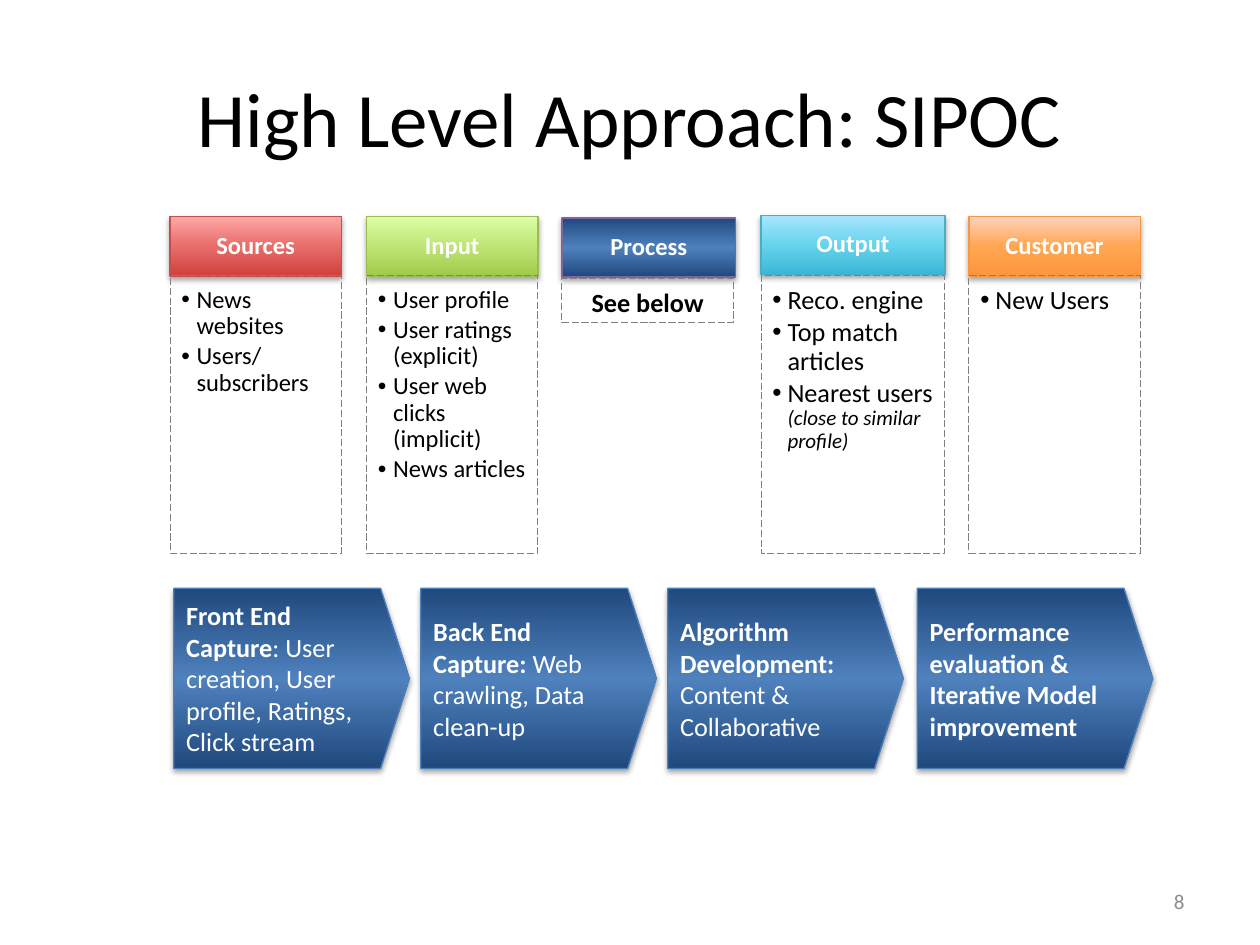
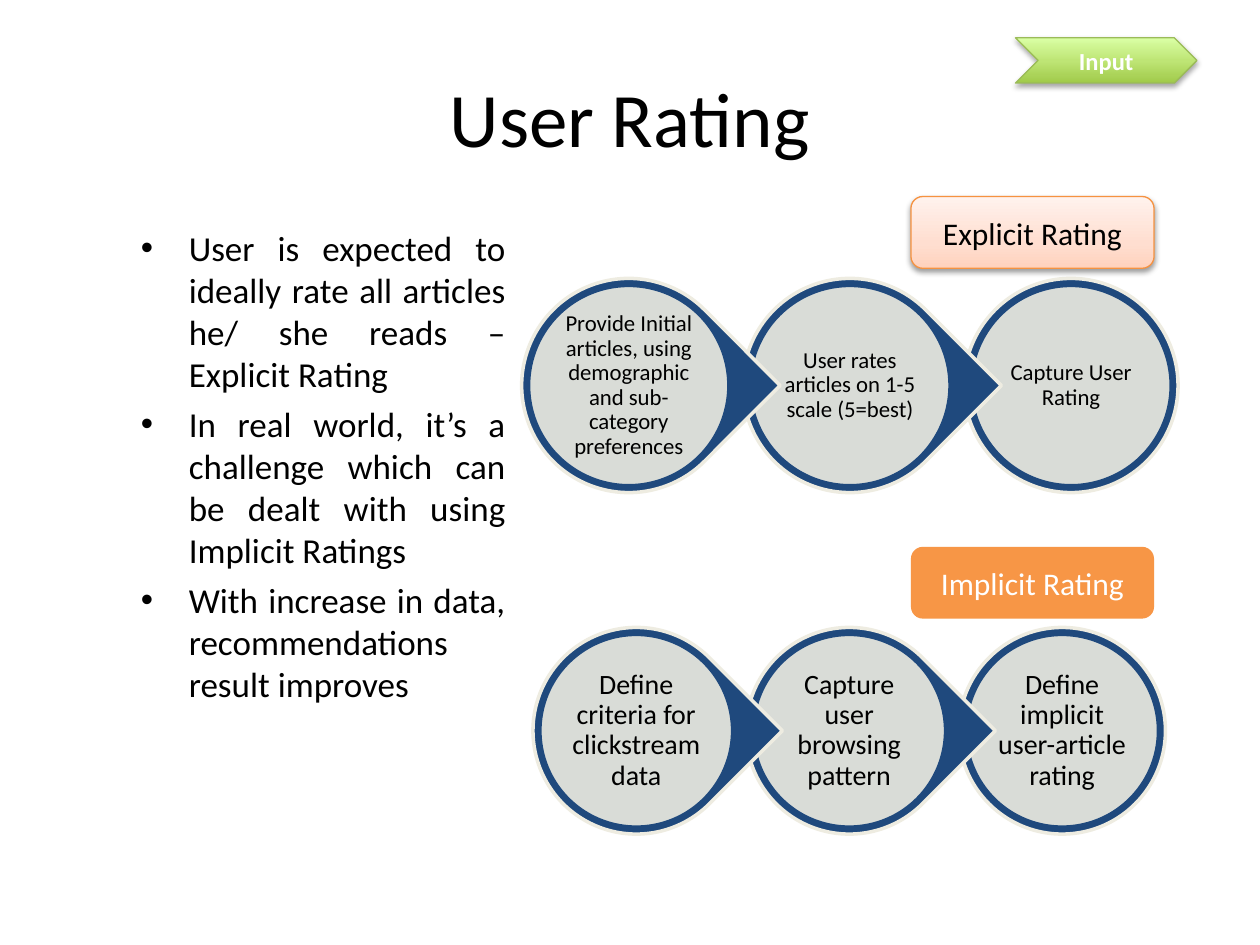
from dataclasses import dataclass

from lxml.etree import SubElement
from pptx import Presentation
from pptx.dml.color import RGBColor
from pptx.enum.dml import MSO_LINE
from pptx.enum.shapes import MSO_SHAPE as SHAPE
from pptx.enum.text import MSO_ANCHOR as ANCHOR, PP_ALIGN as ALIGN
from pptx.oxml.ns import qn
from pptx.util import Inches, Pt


@dataclass(frozen=True)
class Theme:
    font: str = "Calibri"
    black: str = "000000"
    white: str = "FFFFFF"
    navy: str = "1F497D"
    cream: str = "EEECE1"
    orange: str = "F79646"
    peach_line: str = "F69240"
    step_line: str = "4B7EBC"
    box_line: str = "808080"
    number_gray: str = "8C8C8C"
    # Gradients run from the bottom edge to the top edge.
    red_fade: tuple = ((0, "D1403C"), (50, "E86D6B"), (100, "FFA6A5"))
    green_fade: tuple = ((0, "A0CA4A"), (50, "BEE575"), (100, "DAFFA5"))
    blue_fade: tuple = ((0, "1F497D"), (50, "4F81BD"), (100, "1F497D"))
    cyan_fade: tuple = ((0, "39B7D8"), (50, "67D3EC"), (100, "A7E6FF"))
    orange_fade: tuple = ((0, "FF953E"), (50, "FFA651"), (100, "FFD2BD"))
    peach_fade: tuple = ((0, "FFD2BD"), (35, "FFDED0"), (100, "FFF2ED"))
    title_size: int = 44
    body_size: int = 20
    label_size: int = 18
    step_size: int = 15
    header_size: int = 14
    small_size: int = 12


theme = Theme()


def add_shape(slide, kind, box, fill=None, line=None, width=0.75, shadow=0, alpha=100):
    """Add a shape; fill is a colour or gradient stops, shadow and alpha are percentages."""
    shape = slide.shapes.add_shape(kind, *map(Inches, box))
    properties = shape._element.spPr
    if fill is None:
        shape.fill.background()
    elif isinstance(fill, str):
        shape.fill.solid()
        shape.fill.fore_color.rgb = RGBColor.from_string(fill)
        if alpha < 100:
            color = properties.find(qn("a:solidFill"))[0]
            SubElement(color, qn("a:alpha"), val=str(alpha * 1000))
    else:
        shape.fill.gradient()
        shape.fill.gradient_angle = 90
        stops = properties.find(qn("a:gradFill")).find(qn("a:gsLst"))
        for stop in list(stops):
            stops.remove(stop)
        for position, color in fill:
            stop = SubElement(stops, qn("a:gs"), pos=str(position * 1000))
            SubElement(stop, qn("a:srgbClr"), val=color)
    if line:
        shape.line.color.rgb = RGBColor.from_string(line)
        shape.line.width = Pt(width)
    else:
        shape.line.fill.background()
    shape.shadow.inherit = False
    if shadow:
        outer = SubElement(properties.find(qn("a:effectLst")), qn("a:outerShdw"),
                           blurRad="40000", dist="23000", dir="5400000", rotWithShape="0")
        color = SubElement(outer, qn("a:srgbClr"), val=theme.black)
        SubElement(color, qn("a:alpha"), val=str(shadow * 1000))
    return shape


def add_text(shape, paragraphs, size, color=theme.black, align=ALIGN.CENTER,
             anchor=ANCHOR.MIDDLE, insets=(0.1, 0.05, 0.1, 0.05), bullet_indent=0,
             line_spacing=1.0, before=0, after=0):
    """Fill a shape; each paragraph is a list of (text, font attributes) runs."""
    frame = shape.text_frame
    frame.word_wrap = True
    frame.vertical_anchor = anchor
    (frame.margin_left, frame.margin_top,
     frame.margin_right, frame.margin_bottom) = map(Inches, insets)
    for index, runs in enumerate(paragraphs):
        paragraph = frame.add_paragraph() if index else frame.paragraphs[0]
        paragraph.alignment = align
        paragraph.line_spacing = line_spacing
        paragraph.space_before = Pt(before)
        paragraph.space_after = Pt(after)
        if bullet_indent:
            properties = paragraph._p.get_or_add_pPr()
            properties.set("marL", str(Inches(bullet_indent)))
            properties.set("indent", str(-Inches(bullet_indent)))
            SubElement(properties, qn("a:buFont"), typeface="Arial")
            SubElement(properties, qn("a:buChar"), char="•")
        for text, attributes in runs:
            run = paragraph.add_run()
            run.text = text
            run.font.name = theme.font
            run.font.color.rgb = RGBColor.from_string(color)
            run.font.size = Pt(attributes.get("size", size))
            run.font.bold = attributes.get("bold", False)
            run.font.italic = attributes.get("italic", False)


presentation = Presentation()
presentation.slide_width = Inches(10)
presentation.slide_height = Inches(7.5)
bold = {"bold": True}

slides = []
for title in ("High Level Approach: SIPOC", "User Rating"):
    slide = presentation.slides.add_slide(presentation.slide_layouts[6])
    title_box = slide.shapes.add_textbox(*map(Inches, (0.5, 0.3, 9, 1.25)))
    add_text(title_box, [[(title, {})]], theme.title_size)
    slides.append(slide)
sipoc_slide, rating_slide = slides

# SIPOC columns: heading, header box, gradient, header line, item size, items
header_height = 0.47
columns = [
    ("Sources", (1.35, 1.72, 1.36), theme.red_fade, "C0504D", 14,
     [[("News websites", {})], [("Users/ subscribers", {})]]),
    ("Input", (2.91, 1.72, 1.36), theme.green_fade, "9BBB59", 14,
     [[("User profile", {})], [("User ratings (explicit)", {})],
      [("User web clicks (implicit)", {})], [("News articles", {})]]),
    ("Process", (4.46, 1.73, 1.38), theme.blue_fade, "8064A2", 15,
     [[("See below", bold)]]),
    ("Output", (6.04, 1.71, 1.46), theme.cyan_fade, "4BACC6", 15,
     [[("Reco. engine", {})], [("Top match articles", {})],
      [("Nearest users ", {}),
       ("(close to similar profile)", {"size": theme.small_size, "italic": True})]]),
    ("Customer", (7.69, 1.72, 1.36), theme.orange_fade, theme.orange, 15,
     [[("New Users", {})]]),
]
for heading, (left, top, width), fade, line, size, items in columns:
    header = add_shape(sipoc_slide, SHAPE.RECTANGLE, (left, top, width, header_height),
                       fade, line, shadow=35)
    add_text(header, [[(heading, bold)]], theme.header_size, theme.white,
             insets=(0.11, 0.06, 0.11, 0.06), line_spacing=0.9, after=5)
    is_process = heading == "Process"
    box = (left, 2.21, 1.36, 0.35) if is_process else (left, 2.19, width, 2.2)
    details = add_shape(sipoc_slide, SHAPE.RECTANGLE, box, line=theme.box_line, width=0.5)
    details.line.dash_style = MSO_LINE.LONG_DASH
    add_text(details, items, size, align=ALIGN.CENTER if is_process else ALIGN.LEFT,
             anchor=ANCHOR.TOP, insets=(0.09, 0.09, 0.09, 0.13),
             bullet_indent=0 if is_process else 0.12, line_spacing=0.9, after=2)

process_steps = [
    (1.38, [("Front End Capture", bold),
            (": User creation, User profile, Ratings, Click stream", {})]),
    (3.34, [("Back End Capture: ", bold), ("Web crawling, Data clean-up", {})]),
    (5.3, [("Algorithm Development: ", bold), ("Content & Collaborative", {})]),
    (7.28, [("Performance evaluation & Iterative Model improvement", bold)]),
]
for left, runs in process_steps:
    step = add_shape(sipoc_slide, SHAPE.PENTAGON, (left, 4.67, 1.87, 1.43),
                     theme.blue_fade, theme.step_line, shadow=35)
    step.adjustments[0] = 0.16
    add_text(step, [runs], theme.step_size, theme.white, ALIGN.LEFT)

number_box = sipoc_slide.shapes.add_textbox(*map(Inches, (7.17, 6.95, 2.33, 0.4)))
add_text(number_box, [[("8", {})]], theme.small_size, theme.number_gray, ALIGN.RIGHT)

# User rating
rating_points = [
    "User is expected to ideally rate all articles he/ she reads – Explicit Rating",
    "In real world, it’s a challenge which can be dealt with using Implicit Ratings",
    "With increase in data, recommendations result improves",
]
points_box = rating_slide.shapes.add_textbox(*map(Inches, (1.02, 1.75, 3.09, 4.95)))
add_text(points_box, [[(point, {})] for point in rating_points], theme.body_size,
         align=ALIGN.JUSTIFY, anchor=ANCHOR.TOP, bullet_indent=0.38, before=4.6)

input_tag = add_shape(rating_slide, SHAPE.CHEVRON, (8.06, 0.3, 1.44, 0.36),
                      theme.green_fade, "9BBB59", shadow=35)
add_text(input_tag, [[("Input", bold)]], theme.header_size, theme.white)

# Circle chains: left, top, outer diameter, inner diameter, pitch, text size, texts
chains = [
    (4.14, 2.21, 1.7, 1.59, 1.755, 13,
     ["Provide Initial articles, using demographic and sub-category preferences",
      "User rates articles on 1-5 scale (5=best)", "Capture User Rating"]),
    (4.23, 4.98, 1.64, 1.53, 1.69, 16,
     ["Define criteria for clickstream data", "Capture user browsing pattern",
      "Define implicit user-article rating"]),
]
for left, top, outer, inner, pitch, size, texts in chains:
    inset = (outer - inner) / 2
    for index in reversed(range(len(texts))):
        x = left + index * pitch
        is_last = index == len(texts) - 1
        rim = add_shape(rating_slide, SHAPE.OVAL if is_last else SHAPE.TEAR,
                        (x, top, outer, outer), theme.navy, theme.cream, 2)
        if not is_last:
            rim.adjustments[0] = 1
            rim.rotation = 45
        disc = add_shape(rating_slide, SHAPE.OVAL, (x + inset, top + inset, inner, inner),
                         theme.cream, theme.navy, 2, alpha=90)
        add_text(disc, [[(texts[index], {})]], size, insets=(0.02,) * 4,
                 line_spacing=0.9, after=5)

rating_labels = [
    ("Explicit Rating", 1.56, theme.peach_fade, theme.peach_line, 38, theme.black),
    ("Implicit Rating", 4.34, theme.orange, None, 0, theme.white),
]
for text, top, fill, line, shadow, color in rating_labels:
    label = add_shape(rating_slide, SHAPE.ROUNDED_RECTANGLE, (7.23, top, 1.93, 0.57),
                      fill, line, shadow=shadow)
    add_text(label, [[(text, {})]], theme.label_size, color)

presentation.save("out.pptx")
